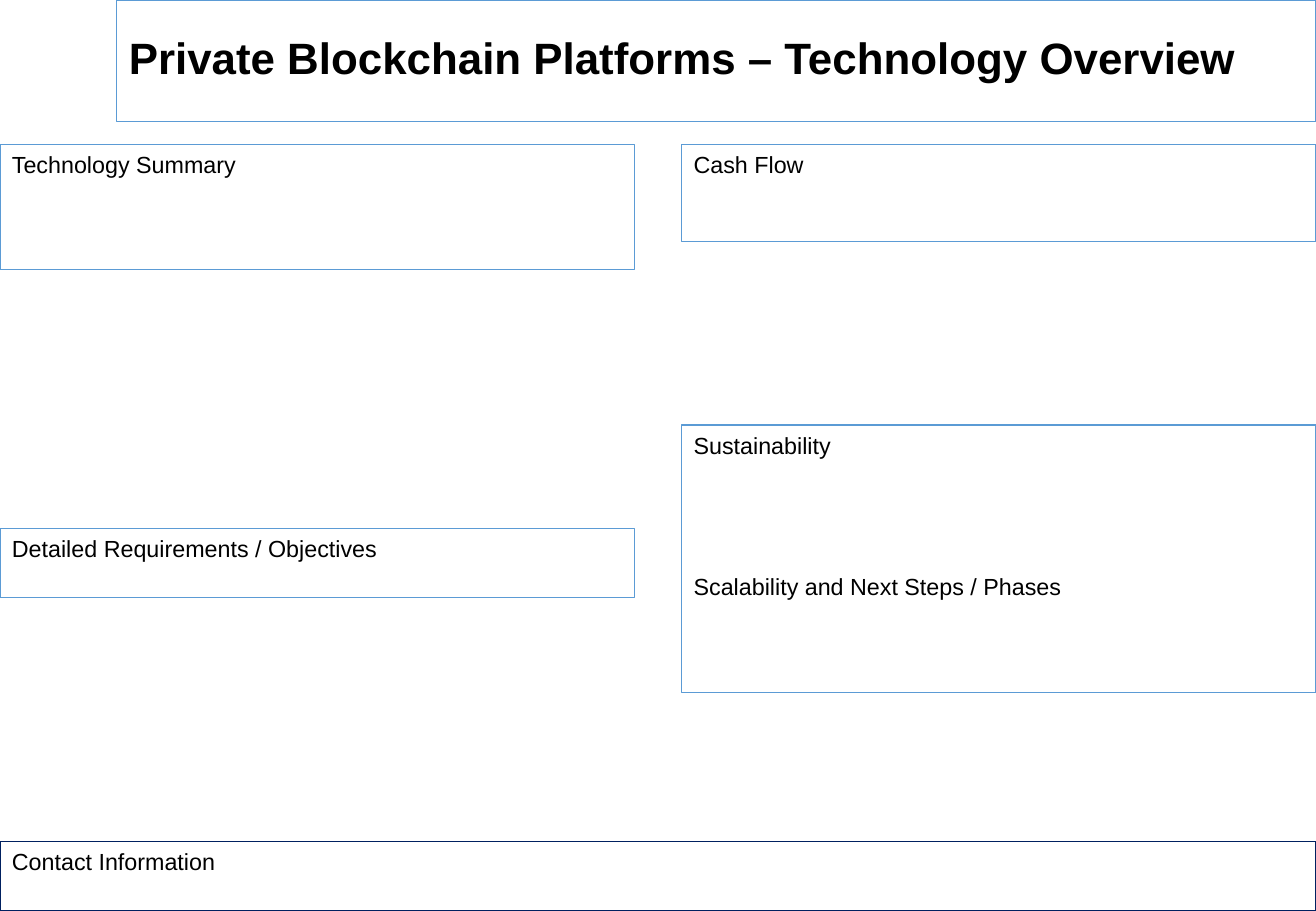
from pptx import Presentation
from pptx.dml.color import RGBColor
from pptx.enum.text import MSO_ANCHOR, MSO_AUTO_SIZE, PP_ALIGN
from pptx.util import Cm, Pt

BLACK = RGBColor(0x00, 0x00, 0x00)
BLUE = RGBColor(0x5B, 0x9B, 0xD5)
NAVY = RGBColor(0x00, 0x20, 0x60)
WIDE, HIGH = 27.51, 19.05
HALF = 13.26
RIGHT = WIDE - HALF
TOP = 3.02
FOOT = 1.45


def add_run(para, text, size, bold=False):
    run = para.add_run()
    run.text = text
    font = run.font
    font.name = "Arial"
    font.size = Pt(size)
    font.bold = bold
    font.color.rgb = BLACK


def style(shape, color, anchor):
    shape.fill.background()
    shape.line.color.rgb = color
    shape.line.width = Pt(0.75)
    frame = shape.text_frame
    frame.word_wrap = True
    frame.auto_size = MSO_AUTO_SIZE.NONE
    frame.vertical_anchor = anchor
    return frame


def add_title(slide, box, text):
    shape = slide.shapes.title
    shape.left, shape.top, shape.width, shape.height = map(Cm, box)
    frame = style(shape, BLUE, MSO_ANCHOR.MIDDLE)
    para = frame.paragraphs[0]
    para.alignment = PP_ALIGN.LEFT
    para.line_spacing = 0.9
    add_run(para, text, 26, True)


def add_panel(slide, box, heads, color=BLUE):
    shape = slide.shapes.add_textbox(*map(Cm, box))
    frame = style(shape, color, MSO_ANCHOR.TOP)
    for i, head in enumerate(heads):
        para = frame.add_paragraph() if i else frame.paragraphs[0]
        para.alignment = PP_ALIGN.LEFT
        if i:
            para.space_before = Pt(67)
        add_run(para, head, 13.8)


def main():
    deck = Presentation()
    deck.slide_width, deck.slide_height = Cm(WIDE), Cm(HIGH)
    slide = deck.slides.add_slide(deck.slide_layouts[5])
    add_title(slide, (2.44, 0, WIDE - 2.44, 2.54),
              "Private Blockchain Platforms – Technology Overview")
    add_panel(slide, (0, TOP, HALF, 2.62), ["Technology Summary"])
    add_panel(slide, (RIGHT, TOP, HALF, 2.03), ["Cash Flow"])
    add_panel(slide, (0, 11.05, HALF, FOOT),
              ["Detailed Requirements / Objectives"])
    add_panel(slide, (RIGHT, 8.89, HALF, 5.59),
              ["Sustainability", "Scalability and Next Steps / Phases"])
    add_panel(slide, (0, HIGH - FOOT, WIDE, FOOT),
              ["Contact Information"], NAVY)
    deck.save("out.pptx")


if __name__ == "__main__":
    main()
